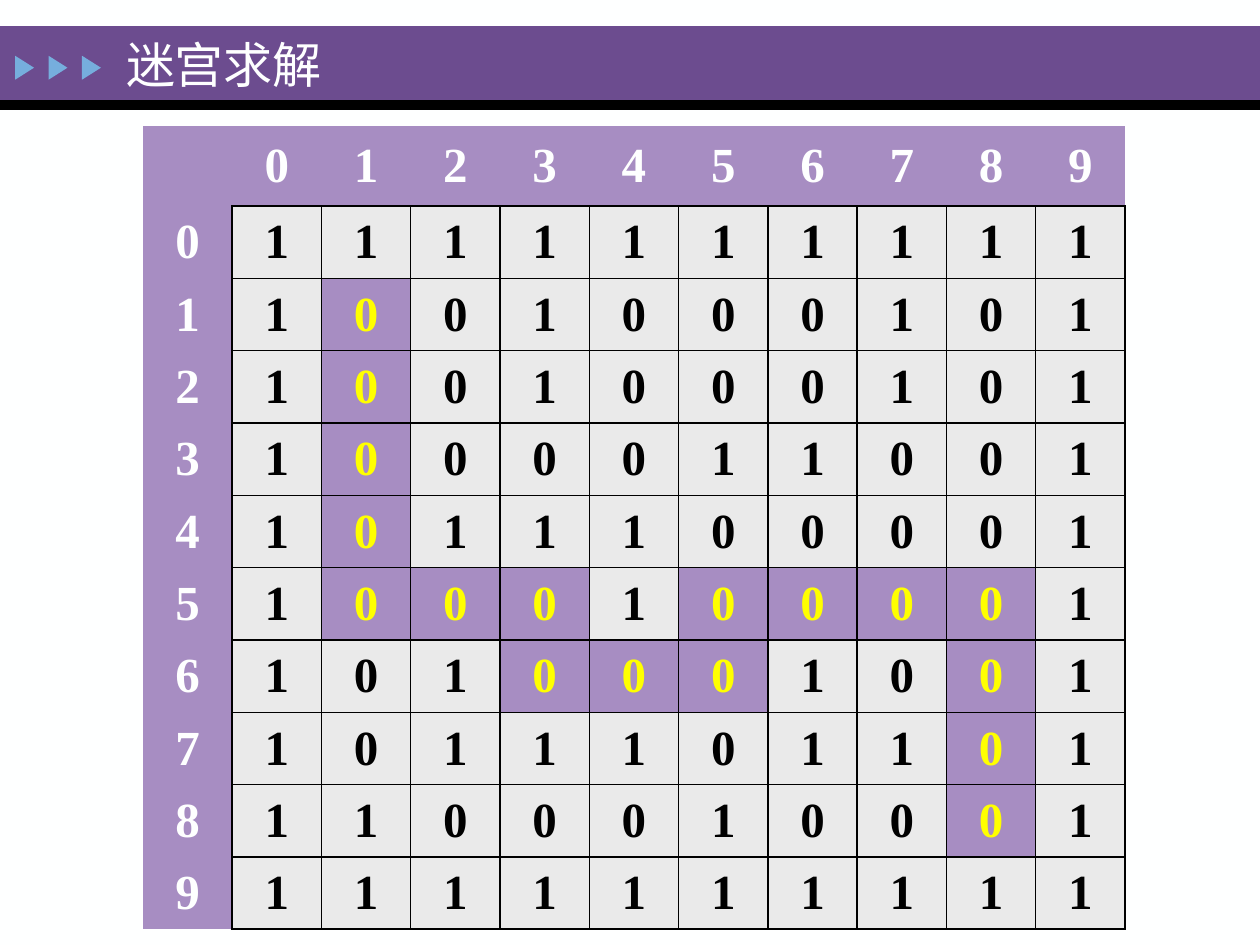
"""Build the maze-solving slide with its grid and highlighted route."""
import dataclasses

import lxml.etree
import pptx
import pptx.dml.color
import pptx.enum.shapes
import pptx.enum.text
import pptx.oxml.ns
import pptx.util

Pt = pptx.util.Pt
Shape = pptx.enum.shapes.MSO_SHAPE
Align = pptx.enum.text.PP_ALIGN
Anchor = pptx.enum.text.MSO_ANCHOR

COLORS = {
    "page": "FEFFFF",
    "banner": "6C4C8F",
    "black": "000000",
    "arrow": "76AEDD",
    "lilac": "A78DC2",
    "cell": "EAEAEA",
    "route": "FFFF00",
}
FONT = "Times New Roman"
FONT_SIZE = 28
MAZE = (
    "1111111111",
    "1001000101",
    "1001000101",
    "1000011001",
    "1011100001",
    "1000100001",
    "1010001001",
    "1011101101",
    "1100010001",
    "1111111111",
)
ROUTE = {
    *((row, 1) for row in range(1, 6)),
    (5, 2), (5, 3), (6, 3), (6, 4), (6, 5), (5, 5), (5, 6), (5, 7),
    *((row, 8) for row in range(5, 9)),
}
COLUMN_WIDTH = 51.05
HEADER_HEIGHT = 45.72
ROW_HEIGHT = 41.34


@dataclasses.dataclass(frozen=True)
class Block:
    kind: int
    left: float
    top: float
    width: float
    height: float
    color: str
    rotation: float = 0


@dataclasses.dataclass(frozen=True)
class CellLook:
    text: str
    color: str
    fill: str
    borders: str


BLOCKS = (
    Block(Shape.RECTANGLE, 0, 15, 720, 42.5, "banner"),
    Block(Shape.RECTANGLE, 0, 57.3, 720, 5.5, "black"),
    *(
        Block(Shape.ISOSCELES_TRIANGLE, 7.2 + 19.1 * step, 33.3, 13.7, 10.8, "arrow", 90)
        for step in range(3)
    ),
)


def rgb(name: str) -> pptx.dml.color.RGBColor:
    """Return the named colour."""
    return pptx.dml.color.RGBColor.from_string(COLORS[name])


def style_paragraph(paragraph, color: str, align: int, bold: bool) -> None:
    """Format a paragraph and its runs."""
    paragraph.alignment = align
    for run in paragraph.runs:
        run.font.name = FONT
        run.font.size = Pt(FONT_SIZE)
        run.font.bold = bold
        run.font.color.rgb = rgb(color)


def draw_block(slide, block: Block) -> None:
    """Draw one plain filled shape."""
    shape = slide.shapes.add_shape(
        block.kind, Pt(block.left), Pt(block.top), Pt(block.width), Pt(block.height)
    )
    shape.rotation = block.rotation
    shape.shadow.inherit = False
    shape.fill.solid()
    shape.fill.fore_color.rgb = rgb(block.color)
    shape.line.fill.background()


def place_title(slide, text: str) -> None:
    """Put the title on top of the banner."""
    title = slide.shapes.title
    title.left, title.top, title.width, title.height = Pt(64.8), Pt(16.5), Pt(215), Pt(40.3)
    frame = title.text_frame
    frame.text = text
    frame.word_wrap = True
    frame.auto_size = pptx.enum.text.MSO_AUTO_SIZE.NONE
    frame.vertical_anchor = Anchor.MIDDLE
    style_paragraph(frame.paragraphs[0], "page", Align.LEFT, False)
    slide.shapes.element.append(title.element)


def set_borders(cell, sides: str) -> None:
    """Draw black borders on the given sides and clear the others."""
    properties = cell._tc.get_or_add_tcPr()
    qn = pptx.oxml.ns.qn
    for side in "LRTB":
        line = lxml.etree.SubElement(properties, qn(f"a:ln{side}"), w=str(Pt(1)))
        if side in sides:
            fill = lxml.etree.SubElement(line, qn("a:solidFill"))
            lxml.etree.SubElement(fill, qn("a:srgbClr"), val=COLORS["black"])
        else:
            lxml.etree.SubElement(line, qn("a:noFill"))


def cell_look(row: int, column: int) -> CellLook:
    """Choose text, colours and borders for a maze position, with -1 as header."""
    if row < 0 and column < 0:
        return CellLook("", "page", "lilac", "")
    if row < 0:
        return CellLook(str(column), "page", "lilac", "B")
    if column < 0:
        return CellLook(str(row), "page", "lilac", "R")
    if (row, column) in ROUTE:
        return CellLook(MAZE[row][column], "route", "lilac", "LRTB")
    return CellLook(MAZE[row][column], "black", "cell", "LRTB")


def fill_cell(cell, look: CellLook) -> None:
    """Write and format one table cell."""
    set_borders(cell, look.borders)
    cell.fill.solid()
    cell.fill.fore_color.rgb = rgb(look.fill)
    cell.vertical_anchor = Anchor.MIDDLE
    cell.text_frame.text = look.text
    style_paragraph(cell.text_frame.paragraphs[0], look.color, Align.CENTER, True)


def draw_maze(slide) -> None:
    """Draw the maze table with numbered rows and columns."""
    count = len(MAZE) + 1
    maze = slide.shapes.add_table(
        count, count, Pt(81.6), Pt(72),
        Pt(COLUMN_WIDTH * count), Pt(HEADER_HEIGHT + ROW_HEIGHT * len(MAZE)),
    ).table
    maze.first_row = False
    maze.horz_banding = False
    for column in maze.columns:
        column.width = Pt(COLUMN_WIDTH)
    for index, row in enumerate(maze.rows):
        row.height = Pt(ROW_HEIGHT if index else HEADER_HEIGHT)
        for position, cell in enumerate(row.cells):
            fill_cell(cell, cell_look(index - 1, position - 1))


def main() -> None:
    """Build and save the presentation."""
    deck = pptx.Presentation()
    deck.slide_width, deck.slide_height = Pt(720), Pt(540)
    slide = deck.slides.add_slide(deck.slide_layouts.get_by_name("Title Only"))
    slide.background.fill.solid()
    slide.background.fill.fore_color.rgb = rgb("page")
    for block in BLOCKS:
        draw_block(slide, block)
    draw_maze(slide)
    place_title(slide, "迷宫求解")
    deck.save("out.pptx")


if __name__ == "__main__":
    main()
